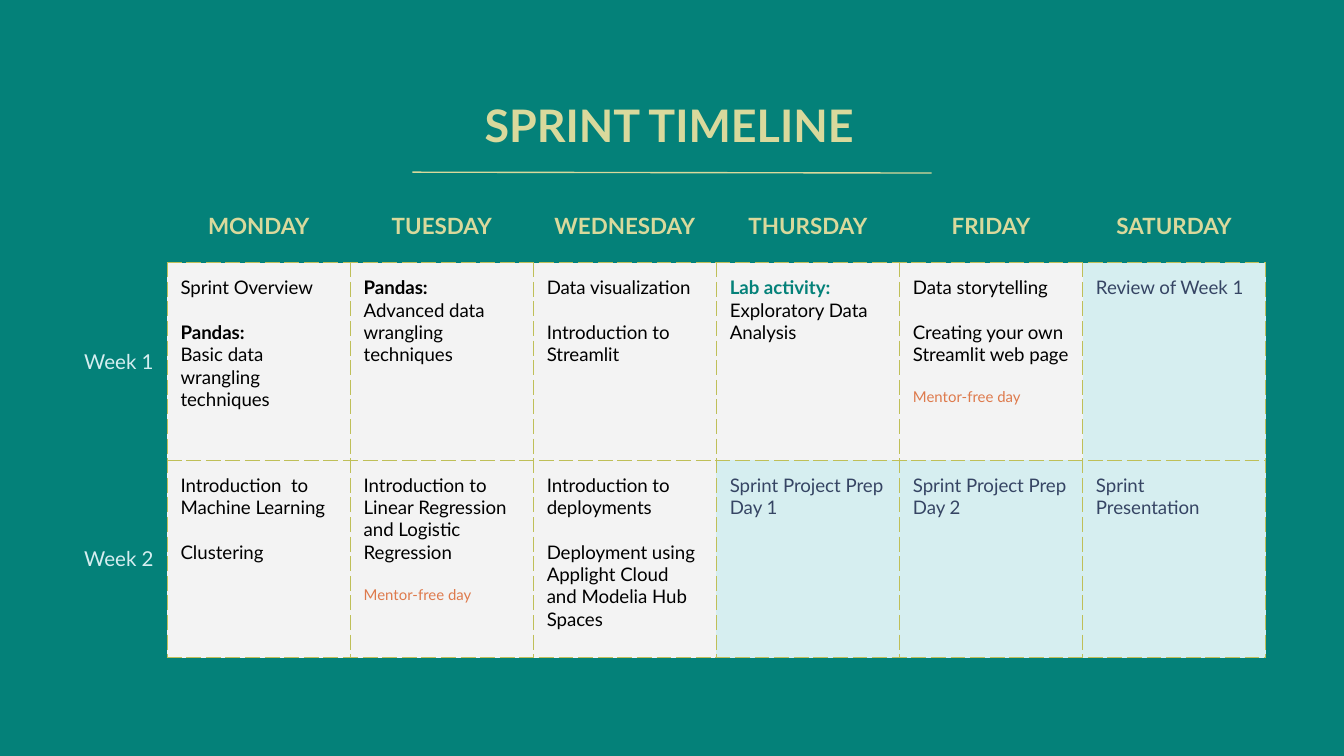
"""Builds the sprint timeline slide with its two-week table."""
from pptx import Presentation
from pptx.dml.color import RGBColor
from pptx.enum.shapes import MSO_CONNECTOR as CONN
from pptx.enum.text import MSO_ANCHOR as ANCHOR, PP_ALIGN as ALIGN
from pptx.oxml.ns import qn
from pptx.util import Pt
from lxml.etree import SubElement

PX = 5715
THEME = dict(
    font="Lato", bg="048179", gold="D9D99C", border="BFBF58", border_width=0.75, gap=12,
    plan="F3F3F3", project="D6EEF0",
    styles=dict(
        title=dict(size=24, color="D9D99C", bold=True),
        day=dict(size=12, color="D9D99C", bold=True),
        week=dict(size=11, color="D6EEF0"),
        body=dict(size=10, color="000000"),
        topic=dict(size=10, color="000000", bold=True),
        lab=dict(size=10, color="048179", bold=True),
        free=dict(size=8, color="DE7A4C"),
        project=dict(size=10, color="364564"),
    ),
)

TITLE = "SPRINT TIMELINE"
DAYS = ["MONDAY", "TUESDAY", "WEDNESDAY", "THURSDAY", "FRIDAY", "SATURDAY"]
FREE = [("free", "Mentor-free day")]
WEEKS = [
    ("Week 1", [
        [[("body", "Sprint Overview")],
         [("topic", "Pandas:"), ("body", "Basic data wrangling techniques")]],
        [[("topic", "Pandas:"), ("body", "Advanced data wrangling techniques")]],
        [[("body", "Data visualization")], [("body", "Introduction to Streamlit")]],
        [[("lab", "Lab activity:"), ("body", "Exploratory Data Analysis")]],
        [[("body", "Data storytelling")],
         [("body", "Creating your own Streamlit web page")], FREE],
        [[("project", "Review of Week 1")]],
    ]),
    ("Week 2", [
        [[("body", "Introduction  to Machine Learning")], [("body", "Clustering")]],
        [[("body", "Introduction to Linear Regression and Logistic Regression")], FREE],
        [[("body", "Introduction to deployments")],
         [("body", "Deployment using Applight Cloud and Modelia Hub Spaces")]],
        [[("project", "Sprint Project Prep Day 1")]],
        [[("project", "Sprint Project Prep Day 2")]],
        [[("project", "Sprint Presentation")]],
    ]),
]

SLIDE = (1600, 900)
TITLE_BOX = (491, 91, 611, 114)
RULE = (491, 205, 1109, 206)
TABLE_AT = (26, 237)
LABEL_W, DAY_W = 173, 218
HEAD_H, WEEK_H = 76, 235
INSET = 16


def px(*values):
    return [v * PX for v in values]


def rgb(name):
    return RGBColor.from_string(name)


def write(p, text, style, align=ALIGN.LEFT, before=0):
    look = THEME["styles"][style]
    p.alignment, p.space_before = align, Pt(before)
    r = p.add_run()
    r.text = text
    r.font.name, r.font.size = THEME["font"], Pt(look["size"])
    r.font.bold = look.get("bold", False)
    r.font.color.rgb = rgb(look["color"])


def set_insets(box):
    box.margin_left = box.margin_top = box.margin_right = box.margin_bottom = INSET * PX


def frame_cell(cell, sides, fill=None):
    tc_pr = cell._tc.get_or_add_tcPr()
    for side in "LRTB":
        ln = SubElement(tc_pr, qn(f"a:ln{side}"), w=str(Pt(THEME["border_width"])))
        if side in sides:
            solid = SubElement(ln, qn("a:solidFill"))
            SubElement(solid, qn("a:srgbClr"), val=THEME["border"])
            SubElement(ln, qn("a:prstDash"), val="dash")
        else:
            SubElement(ln, qn("a:noFill"))
    if fill:
        cell.fill.solid()
        cell.fill.fore_color.rgb = rgb(fill)
    else:
        cell.fill.background()


def fill_plan(cell, blocks):
    tf = cell.text_frame
    lines = [(style, text, THEME["gap"] if b and not i else 0)
             for b, block in enumerate(blocks) for i, (style, text) in enumerate(block)]
    for n, (style, text, before) in enumerate(lines):
        write(tf.add_paragraph() if n else tf.paragraphs[0], text, style, before=before)
    frame_cell(cell, "LRTB", THEME["project" if lines[0][0] == "project" else "plan"])


def add_title(s):
    tf = s.shapes.add_textbox(*px(*TITLE_BOX)).text_frame
    tf.word_wrap, tf.vertical_anchor = True, ANCHOR.MIDDLE
    set_insets(tf)
    write(tf.paragraphs[0], TITLE, "title", align=ALIGN.CENTER)
    rule = s.shapes.add_connector(CONN.STRAIGHT, *px(*RULE))
    rule.line.color.rgb, rule.line.width = rgb(THEME["gold"]), Pt(THEME["border_width"])
    SubElement(rule._element.spPr, qn("a:effectLst"))


def add_timeline(s):
    widths = [LABEL_W] + [DAY_W] * len(DAYS)
    heights = [HEAD_H] + [WEEK_H] * len(WEEKS)
    size = (sum(widths), sum(heights))
    table = s.shapes.add_table(len(heights), len(widths), *px(*TABLE_AT, *size)).table
    table.first_row = table.horz_banding = False
    for col, width in zip(table.columns, px(*widths)):
        col.width = width
    for row, height in zip(table.rows, px(*heights)):
        row.height = height
    frame_cell(table.cell(0, 0), "")
    for c, day in enumerate(DAYS, 1):
        cell = table.cell(0, c)
        set_insets(cell)
        write(cell.text_frame.paragraphs[0], day, "day", align=ALIGN.CENTER)
        frame_cell(cell, "B")
    for r, (week, plans) in enumerate(WEEKS, 1):
        label = table.cell(r, 0)
        set_insets(label)
        label.vertical_anchor = ANCHOR.MIDDLE
        write(label.text_frame.paragraphs[0], week, "week", align=ALIGN.RIGHT)
        frame_cell(label, "R")
        for c, blocks in enumerate(plans, 1):
            set_insets(table.cell(r, c))
            fill_plan(table.cell(r, c), blocks)


def main():
    prs = Presentation()
    prs.slide_width, prs.slide_height = px(*SLIDE)
    s = prs.slides.add_slide(prs.slide_layouts[6])
    s.background.fill.solid()
    s.background.fill.fore_color.rgb = rgb(THEME["bg"])
    add_title(s)
    add_timeline(s)
    prs.save("out.pptx")


if __name__ == "__main__":
    main()
